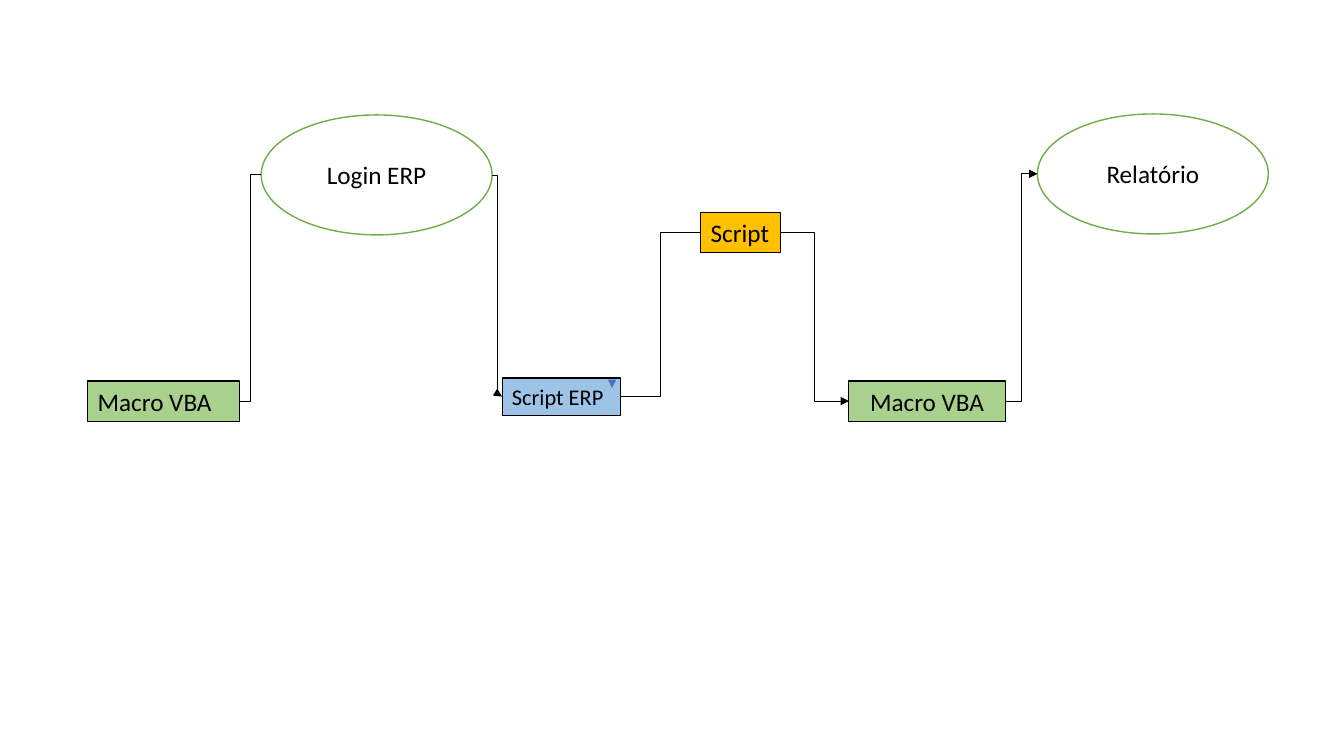
from pptx import Presentation, util as u
from pptx.dml.color import RGBColor
from pptx.enum import shapes, text
from pptx.oxml.ns import qn
from lxml import etree

HUES = {"ink": "000000", "paper": "FFFFFF", "rim": "70AD47", "macro": "A9D18E",
        "erp": "9DC3E6", "script": "FFC000", "tick": "4472C4"}
OVAL = (17.18, 15.87)
STEPS = [
    ("Macro VBA", 6.53, 50.4, 11.33, 5.33, "macro", 18, "LEFT"),
    ("Login ERP", 19.43, 15.2, *OVAL, "paper", 18, "CENTER"),
    ("Script ERP", 37.36, 50, 8.85, 4.93, "erp", 16, "LEFT"),
    ("Script", 52.14, 28.13, 5.93, 5.33, "script", 18, "LEFT"),
    ("Macro VBA", 63.17, 50.4, 11.63, 5.33, "macro", 18, "CENTER"),
    ("Relatório", 77.19, 15.07, *OVAL, "paper", 18, "CENTER"),
]
HEADS = [False, True, False, True, True]


def hue(name):
    """Return a named colour."""
    return RGBColor.from_string(HUES[name])


def place(box, x, y):
    """Turn percentages of a box into a point on the slide."""
    left, top, wide, high = box
    return round(left + wide * x / 100), round(top + high * y / 100)


def node(slide, box, step):
    """Draw one step of the flow, oval or boxed."""
    words, x, y, wide, high, fill, size, side = step
    oval = fill == "paper"
    kind = shapes.MSO_SHAPE.OVAL if oval else shapes.MSO_SHAPE.RECTANGLE
    left, top = place(box, x, y)
    right, base = place(box, x + wide, y + high)
    item = slide.shapes.add_shape(kind, left, top, right - left, base - top)
    item.shadow.inherit = False
    item.fill.solid()
    item.fill.fore_color.rgb = hue(fill)
    item.line.color.rgb = hue("rim" if oval else "ink")
    item.line.width = u.Pt(1 if oval else 0.75)
    frame = item.text_frame
    frame.word_wrap = " " in words or oval
    frame.vertical_anchor = text.MSO_ANCHOR.MIDDLE if oval else text.MSO_ANCHOR.TOP
    para = frame.paragraphs[0]
    para.text = words
    para.alignment = text.PP_ALIGN[side]
    para.font.name = "Calibri"
    para.font.size = u.Pt(size)
    para.font.color.rgb = hue("ink")
    return item


def link(slide, start, end, tint="ink", head=True, kind="ELBOW"):
    """Join two points with a thin line, with or without an arrowhead."""
    line = slide.shapes.add_connector(shapes.MSO_CONNECTOR[kind], *start, *end)
    line.line.color.rgb = hue(tint)
    line.line.width = u.Pt(0.5)
    if head:
        tail = etree.SubElement(line.line._get_or_add_ln(), qn("a:tailEnd"))
        tail.set("type", "triangle")
    etree.SubElement(line._element.spPr, qn("a:effectLst"))


def flow(slide, box):
    """Draw the steps in order and join each to the next."""
    nodes = [node(slide, box, step) for step in STEPS]
    for one, two, head in zip(nodes, nodes[1:], HEADS):
        start = one.left + one.width, one.top + one.height // 2
        end = two.left, two.top + two.height // 2
        link(slide, start, end, head=head)
    link(slide, place(box, 45.54, 50.4), place(box, 45.54, 51.33), "tick", kind="STRAIGHT")


deck = Presentation()
deck.slide_width, deck.slide_height = u.Inches(13.33), u.Inches(7.5)
page = deck.slides.add_slide(deck.slide_layouts[6])
flow(page, (0, 0, deck.slide_width, deck.slide_height))
deck.save("out.pptx")
